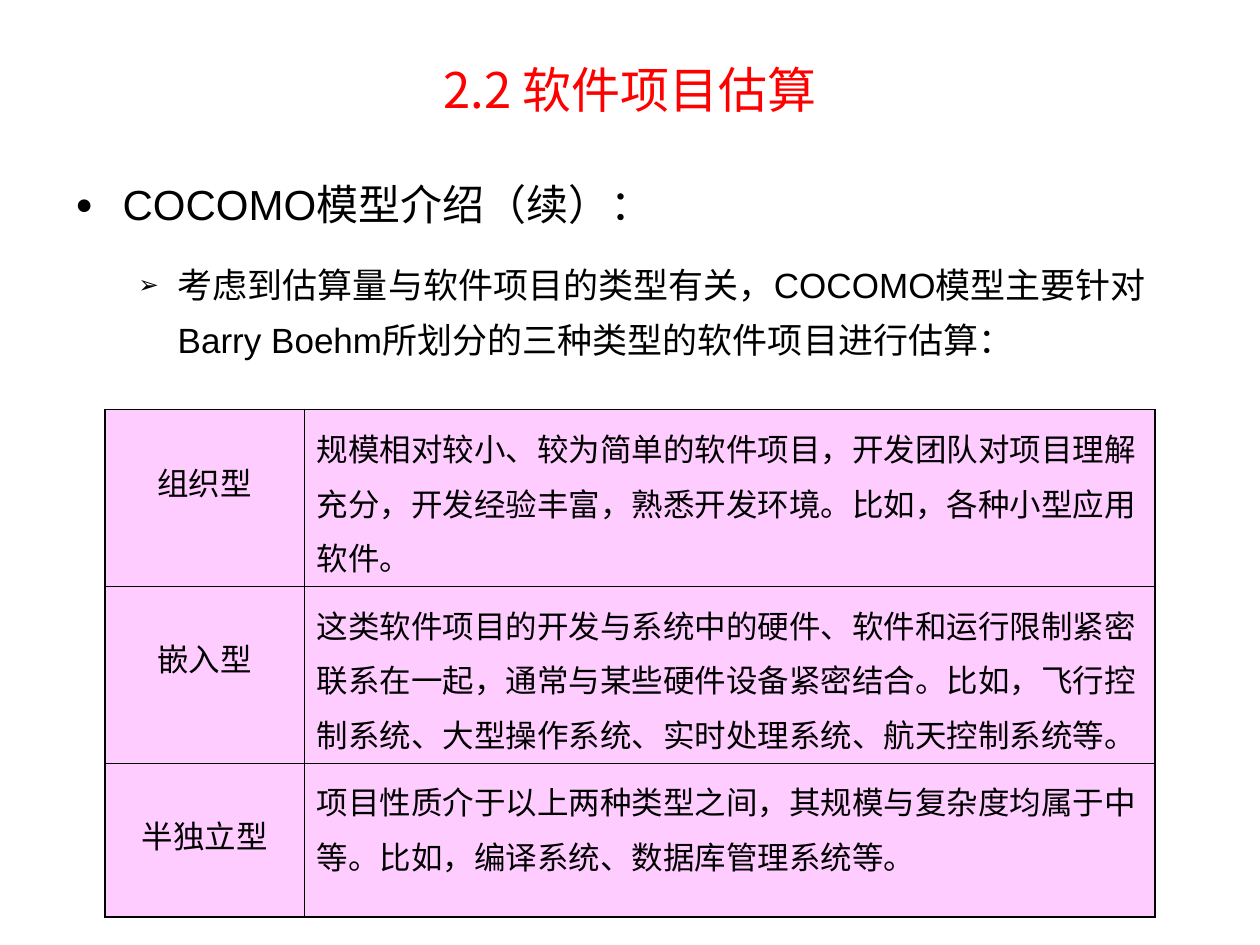
"""Build the slide on the three COCOMO project types."""
from lxml.etree import SubElement as Sub
from pptx import Presentation
from pptx.dml.color import RGBColor as Rgb
from pptx.enum.text import MSO_ANCHOR as Anchor, PP_ALIGN as Align
from pptx.oxml.ns import qn
from pptx.util import Pt

CJK = "Noto Sans CJK SC"
TITLE = "2.2 软件项目估算"
BODY = [
    ("COCOMO模型介绍（续）：", 24, 15, 27, 27, "●"),
    ("考虑到估算量与软件项目的类型有关，COCOMO模型主要针对"
     "Barry Boehm所划分的三种类型的软件项目进行估算：", 20, 12.5, 58.5, 22.5, "➢"),
]
TYPES = [
    ("组织型", "规模相对较小、较为简单的软件项目，开发团队对项目理解充分，"
     "开发经验丰富，熟悉开发环境。比如，各种小型应用软件。"),
    ("嵌入型", "这类软件项目的开发与系统中的硬件、软件和运行限制紧密联系在一起，"
     "通常与某些硬件设备紧密结合。比如，飞行控制系统、大型操作系统、"
     "实时处理系统、航天控制系统等。"),
    ("半独立型", "项目性质介于以上两种类型之间，其规模与复杂度均属于中等。"
     "比如，编译系统、数据库管理系统等。"),
]
WIDTHS = (113.75, 486.25)
HEIGHTS = (101, 101, 88)
THICK, THIN = 1.08, 0.45


def color(code):
    return Rgb.from_string(code)


def write(para, text, size, face="Arial", tint="000000"):
    run = para.add_run()
    run.text = text
    font = para.font
    font.size, font.name = Pt(size), face
    font.color.rgb = color(tint)
    Sub(font._element, qn("a:ea")).set("typeface", CJK)
    Sub(run._r.get_or_add_rPr(), qn("a:ea")).set("typeface", CJK)


def bullet(para, mark, left, hang):
    props = para._p.get_or_add_pPr()
    props.set("marL", str(Pt(left)))
    props.set("indent", str(-Pt(hang)))
    items = [("buSzPct", "val", "70000"), ("buFont", "typeface", "Arial"),
             ("buChar", "char", mark)]
    for tag, key, val in items:
        Sub(props, qn("a:" + tag)).set(key, val)


def border(cell, widths):
    props = cell._tc.get_or_add_tcPr()
    for spot, (side, wide) in enumerate(zip("LRTB", widths)):
        line = props.makeelement(qn("a:ln" + side), {"w": str(Pt(wide))})
        fill = Sub(line, qn("a:solidFill"))
        Sub(fill, qn("a:srgbClr")).set("val", "000000")
        props.insert(spot, line)


def add_box(slide, left, top, width, height):
    frame = slide.shapes.add_textbox(Pt(left), Pt(top), Pt(width), Pt(height)).text_frame
    frame.word_wrap = True
    return frame


def add_title(slide):
    frame = add_box(slide, 36, 18, 648, 66)
    frame.vertical_anchor = Anchor.MIDDLE
    para = frame.paragraphs[0]
    para.alignment = Align.CENTER
    write(para, TITLE, 28, CJK, "FF0000")


def add_body(slide):
    frame = add_box(slide, 36, 90, 648, 414)
    for row, (text, size, gap, left, hang, mark) in enumerate(BODY):
        para = frame.add_paragraph() if row else frame.paragraphs[0]
        para.line_spacing, para.space_before = 1.3, Pt(gap)
        para.level = row
        bullet(para, mark, left, hang)
        write(para, text, size)


def add_types(slide):
    last = len(TYPES) - 1
    table = slide.shapes.add_table(
        len(TYPES), 2, Pt(60), Pt(234), Pt(sum(WIDTHS)), Pt(sum(HEIGHTS))).table
    for col, width in enumerate(WIDTHS):
        table.columns[col].width = Pt(width)
    for row, texts in enumerate(TYPES):
        table.rows[row].height = Pt(HEIGHTS[row])
        for col, text in enumerate(texts):
            cell = table.cell(row, col)
            cell.fill.solid()
            cell.fill.fore_color.rgb = color("FFCCFF")
            outer = (col == 0, col == 1, row == 0, row == last)
            border(cell, [THICK if edge else THIN for edge in outer])
            para = cell.text_frame.paragraphs[0]
            para.space_before = Pt(4.5)
            if col:
                para.line_spacing = 1.2
            else:
                para.alignment = Align.CENTER
                cell.margin_top = Pt(28)
            write(para, text, 18)


def main():
    deck = Presentation()
    deck.slide_width, deck.slide_height = Pt(720), Pt(540)
    slide = deck.slides.add_slide(deck.slide_layouts[6])
    add_title(slide)
    add_body(slide)
    add_types(slide)
    deck.save("out.pptx")


if __name__ == "__main__":
    main()
